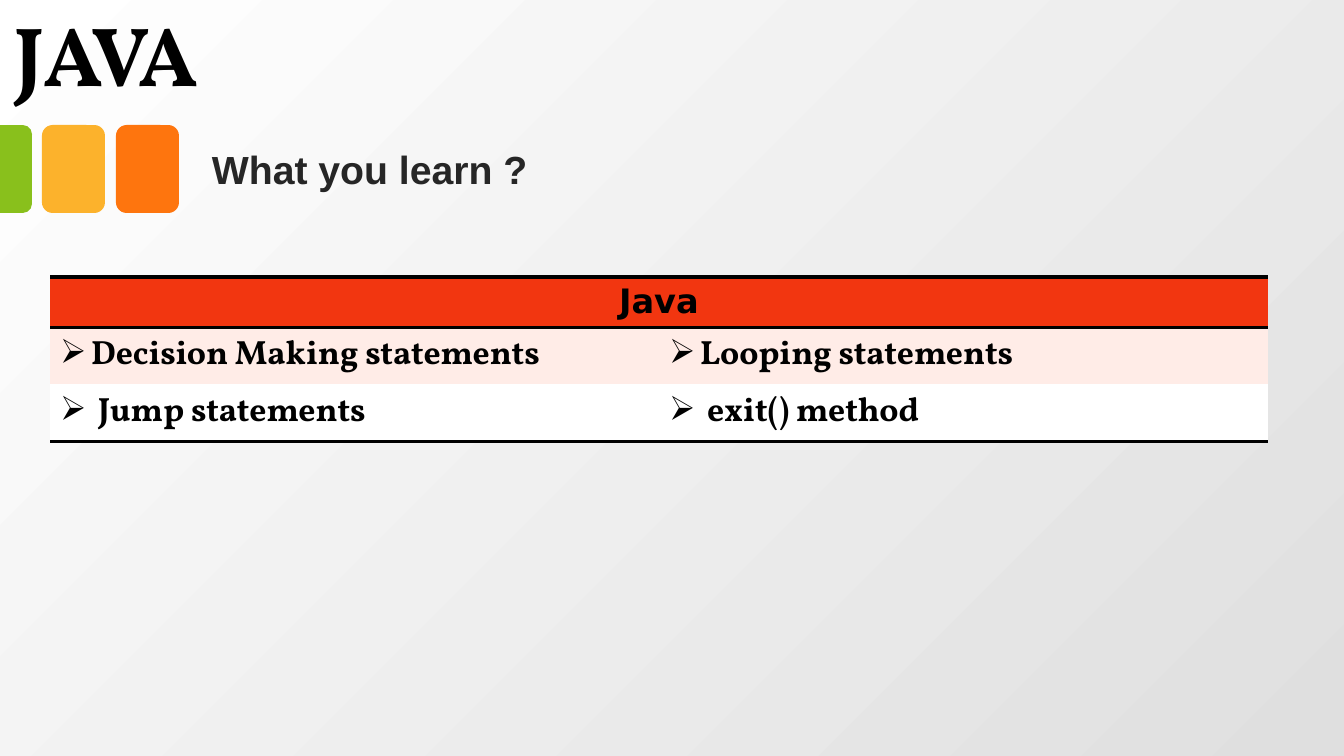
from lxml.etree import SubElement
from pptx import Presentation
from pptx.dml.color import RGBColor
from pptx.enum.shapes import MSO_SHAPE
from pptx.enum.text import MSO_ANCHOR, MSO_AUTO_SIZE, PP_ALIGN
from pptx.oxml import parse_xml
from pptx.oxml.ns import nsdecls, qn
from pptx.util import Pt

SCALE = 6858000 / 756
COLORS = {
    "ink": "000000", "heading": "262626", "white": "FFFFFF", "grey": "DFDFDF",
    "green": "89C01C", "amber": "FCB22C", "orange": "FE750E",
    "red": "F23610", "blush": "FFECE7",
}
NO_GRID_STYLE = "{2D5ABB26-0587-4C30-8999-92F81FD0307C}"


def px(length):
    return round(length * SCALE)


def color(name):
    return RGBColor.from_string(COLORS[name])


class SlideBuilder:
    def __init__(self, slide):
        self.slide = slide

    def background(self, start, end):
        fill = self.slide.background.fill
        fill.gradient()
        fill.gradient_angle = 315
        for stop, name in zip(fill.gradient_stops, (start, end)):
            stop.color.rgb = color(name)

    def tab(self, preset, box, fill, adjustments, rotation=0):
        tab = self.slide.shapes.add_shape(preset, *map(px, box))
        tab.shadow.inherit = False
        tab.fill.solid()
        tab.fill.fore_color.rgb = color(fill)
        tab.line.fill.background()
        tab.rotation = rotation
        for index, value in enumerate(adjustments):
            tab.adjustments[index] = value

    def style(self, paragraph, text, font, size, ink):
        paragraph.text = text
        paragraph.font.name = font
        paragraph.font.size = Pt(size)
        paragraph.font.bold = True
        paragraph.font.color.rgb = color(ink)

    def text(self, box, text, font, size, ink):
        frame = self.slide.shapes.add_textbox(*map(px, box)).text_frame
        frame.word_wrap = True
        self.style(frame.paragraphs[0], text, font, size, ink)
        return frame

    def table(self, box, row_heights, columns):
        left, top, width = box
        table = self.slide.shapes.add_table(
            len(row_heights), columns,
            px(left), px(top), px(width), px(sum(row_heights))).table
        table.first_row = table.horz_banding = False
        table._tbl.tblPr.find(qn("a:tableStyleId")).text = NO_GRID_STYLE
        for row, height in zip(table.rows, row_heights):
            row.height = px(height)
        return table

    def cell(self, cell, fill, borders=()):
        cell.vertical_anchor = MSO_ANCHOR.MIDDLE
        cell.fill.solid()
        cell.fill.fore_color.rgb = color(fill)
        for index, side in enumerate(borders):
            cell._tc.get_or_add_tcPr().insert(index, parse_xml(
                f'<a:{side} {nsdecls("a")} w="{Pt(3)}"><a:solidFill>'
                f'<a:srgbClr val="{COLORS["ink"]}"/></a:solidFill></a:{side}>'))

    def bullet(self, paragraph, indent):
        properties = paragraph._p.get_or_add_pPr()
        properties.set("marL", str(px(indent)))
        properties.set("indent", str(-px(indent)))
        mark = SubElement(properties, qn("a:buChar"))
        mark.set("char", "➢")
        properties.insert(0, mark)


def main():
    presentation = Presentation()
    presentation.slide_width, presentation.slide_height = px(1344), px(756)
    builder = SlideBuilder(
        presentation.slides.add_slide(presentation.slide_layouts[6]))
    builder.background("white", "grey")

    for left, fill in ((116, "orange"), (42, "amber")):
        builder.tab(MSO_SHAPE.ROUNDED_RECTANGLE, (left, 125, 63, 88), fill, [0.17])
    builder.tab(MSO_SHAPE.ROUND_2_SAME_RECTANGLE, (-28, 153, 88, 32),
                "green", [0.29, 0], 90)

    title = builder.text((1, 17, 1149, 93), "JAVA", "Vollkorn", 60, "ink")
    title.vertical_anchor = MSO_ANCHOR.BOTTOM
    title.margin_left = title.margin_right = px(13)
    title.margin_top = title.margin_bottom = px(7)
    title.paragraphs[0].line_spacing = 0.8

    heading = builder.text((202, 140, 351, 57), "What you learn ?",
                           "Arial", 28, "heading")
    heading.word_wrap = False
    heading.auto_size = MSO_AUTO_SIZE.SHAPE_TO_FIT_TEXT

    topics = builder.table((50, 277, 1218), (49, 57, 57), 2)
    for header in topics.rows[0].cells:
        builder.cell(header, "red", ("lnT", "lnB"))
    topics.cell(0, 0).merge(topics.cell(0, 1))
    subject = topics.cell(0, 0).text_frame.paragraphs[0]
    builder.style(subject, "Java", "DejaVu Sans", 24, "ink")
    subject.alignment = PP_ALIGN.CENTER

    topic_rows = (
        (("Decision Making statements", "Looping statements"), "blush", 31, ()),
        (("Jump statements", "exit() method"), "white", 38, ("lnB",)),
    )
    for row, (names, fill, indent, borders) in enumerate(topic_rows, 1):
        for column, name in enumerate(names):
            cell = topics.cell(row, column)
            builder.cell(cell, fill, borders)
            topic = cell.text_frame.paragraphs[0]
            builder.style(topic, name, "Vollkorn", 24, "ink")
            builder.bullet(topic, indent)

    presentation.save("out.pptx")


if __name__ == "__main__":
    main()
